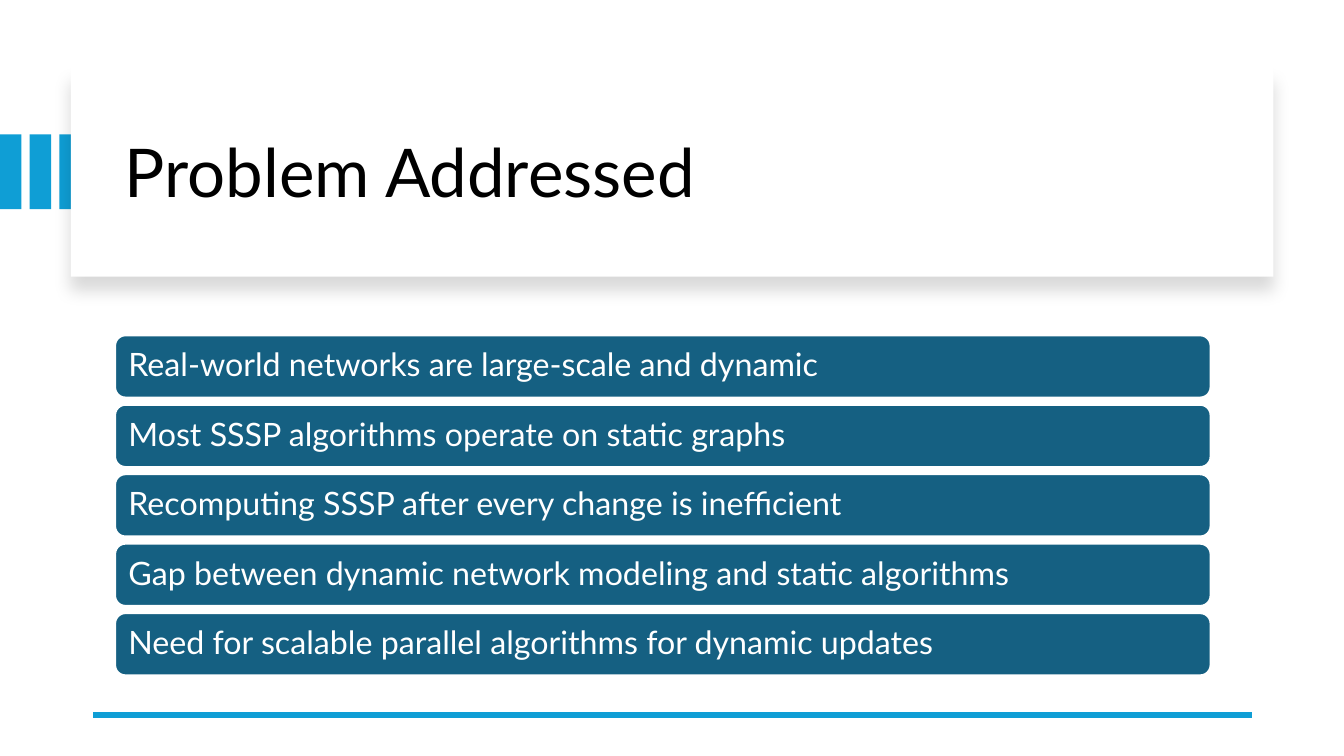
from dataclasses import dataclass

from lxml import etree
from pptx import Presentation
from pptx.dml.color import RGBColor
from pptx.enum.shapes import MSO_CONNECTOR, MSO_SHAPE
from pptx.enum.text import MSO_ANCHOR, PP_ALIGN
from pptx.oxml import parse_xml
from pptx.oxml.ns import nsdecls, qn
from pptx.util import Cm, Pt

RECT = MSO_SHAPE.RECTANGLE
ROUND = MSO_SHAPE.ROUNDED_RECTANGLE
LINE = MSO_CONNECTOR.STRAIGHT
MIDDLE = MSO_ANCHOR.MIDDLE
LEFT = PP_ALIGN.LEFT


@dataclass(frozen=True)
class Theme:
    black: str = "000000"
    white: str = "FFFFFF"
    accent: str = "0F9ED5"
    bar: str = "156082"
    font: str = "Lato"
    title: float = 48
    body: float = 23


@dataclass(frozen=True)
class Box:
    left: float
    top: float
    width: float
    height: float

    def place(self) -> tuple:
        return Cm(self.left), Cm(self.top), Cm(self.width), Cm(self.height)


THEME = Theme()
MARGIN = 2.9
WIDTH = 27.61
STRIPES = [Box(0.75 * n, 3.39, 0.54, 1.88) for n in range(3)]
PANEL = Box(1.79, 1.7, 30.3, 5.27)
TITLE = Box(MARGIN, 2.26, WIDTH, 4.32)
POINTS = [
    "Real-world networks are large-scale and dynamic",
    "Most SSSP algorithms operate on static graphs",
    "Recomputing SSSP after every change is inefficient",
    "Gap between dynamic network modeling and static algorithms",
    "Need for scalable parallel algorithms for dynamic updates",
]


def write(shape, text: str, *, size: float, color: str, inset: float) -> None:
    frame = shape.text_frame
    frame.word_wrap = True
    frame.vertical_anchor = MIDDLE
    frame.margin_left = frame.margin_right = Cm(inset)
    frame.margin_top = frame.margin_bottom = Cm(0.13)
    para = frame.paragraphs[0]
    para.text = text
    para.alignment = LEFT
    para.line_spacing = 0.9
    para.font.name = THEME.font
    para.font.size = Pt(size)
    para.font.color.rgb = RGBColor.from_string(color)


def draw(slide, kind, box: Box, fill: str, edge: str = ""):
    shape = slide.shapes.add_shape(kind, *box.place())
    shape.shadow.inherit = False
    shape.fill.solid()
    shape.fill.fore_color.rgb = RGBColor.from_string(fill)
    if edge:
        shape.line.color.rgb = RGBColor.from_string(edge)
        shape.line.width = Pt(1.5)
    else:
        shape.line.fill.background()
    return shape


def shade(shape) -> None:
    effects = shape._element.spPr.find(qn("a:effectLst"))
    effects.append(parse_xml(
        f'<a:outerShdw {nsdecls("a")} blurRad="{Pt(11)}" dist="{Pt(10)}" '
        f'dir="5400000" algn="t" rotWithShape="0"><a:srgbClr val="{THEME.black}">'
        '<a:alpha val="15000"/></a:srgbClr></a:outerShdw>'))


def rule(slide, start: float, end: float, top: float) -> None:
    line = slide.shapes.add_connector(LINE, Cm(start), Cm(top), Cm(end), Cm(top))
    line.line.color.rgb = RGBColor.from_string(THEME.accent)
    line.line.width = Pt(4.5)
    etree.SubElement(line._element.spPr, qn("a:effectLst"))


def main() -> None:
    deck = Presentation()
    deck.slide_width, deck.slide_height = Cm(33.87), Cm(19.05)
    slide = deck.slides.add_slide(deck.slide_layouts[6])
    for stripe in STRIPES:
        draw(slide, RECT, stripe, THEME.accent)
    shade(draw(slide, RECT, PANEL, THEME.white))
    title = slide.shapes.add_textbox(*TITLE.place())
    write(title, "Problem Addressed", size=THEME.title, color=THEME.black, inset=0.25)
    rule(slide, 31.55, 2.34, 18.01)
    for n, point in enumerate(POINTS):
        box = Box(MARGIN, 8.45 + 1.75 * n, WIDTH, 1.57)
        bar = draw(slide, ROUND, box, THEME.bar, THEME.white)
        write(bar, point, size=THEME.body, color=THEME.white, inset=0.26)
    deck.save("out.pptx")


if __name__ == "__main__":
    main()
